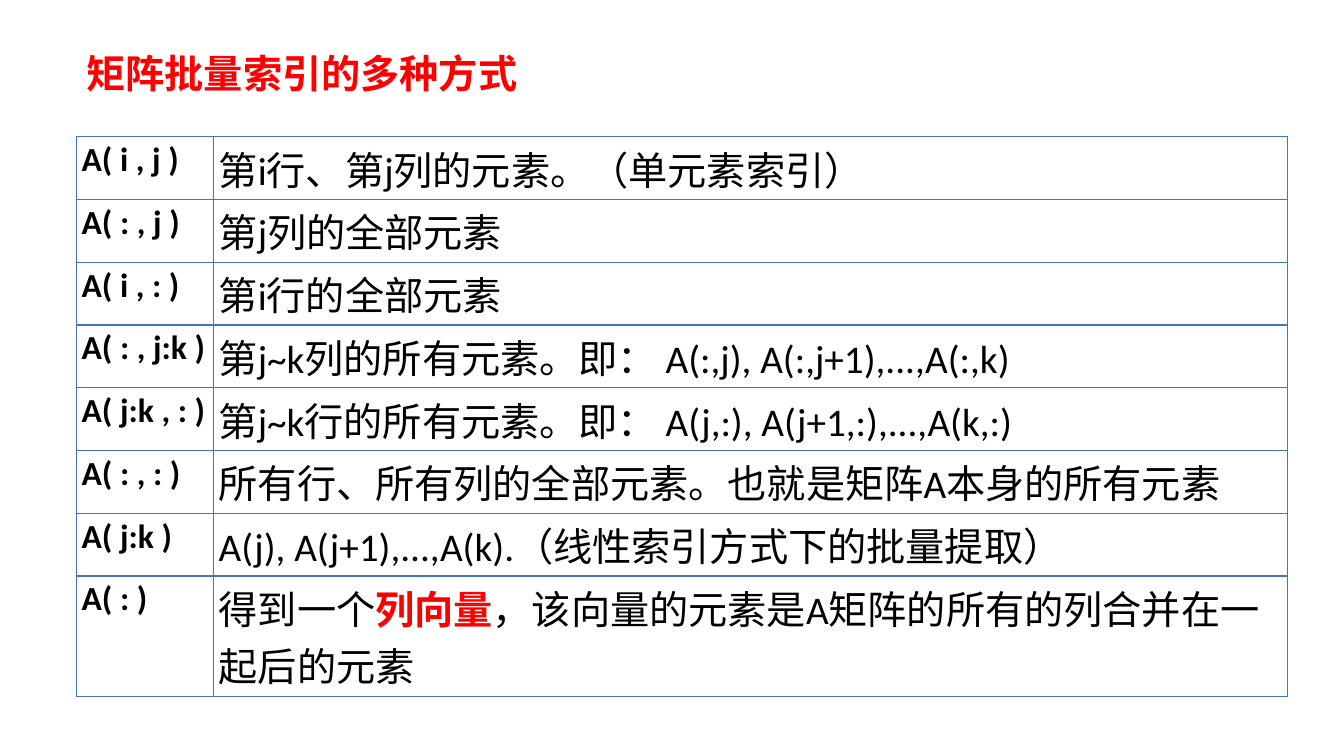
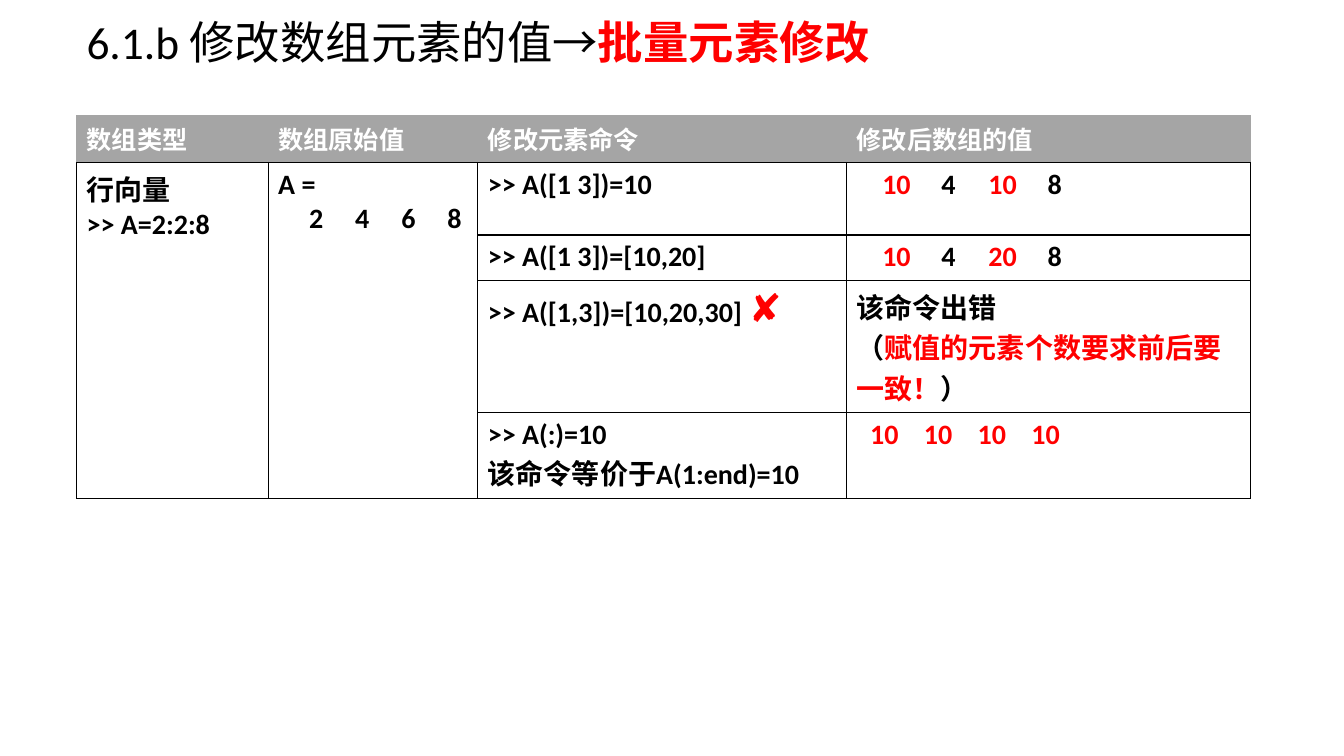
from lxml import etree
from pptx import Presentation
from pptx.dml.color import RGBColor
from pptx.enum.text import MSO_ANCHOR
from pptx.oxml.ns import qn
from pptx.util import Inches, Pt

MIDDLE = MSO_ANCHOR.MIDDLE
FONT = "Calibri"
BLACK, RED, WHITE = "000000", "FF0000", "FFFFFF"
BLUE, GREY = "4472C4", "A5A5A5"

deck = Presentation()
deck.slide_width, deck.slide_height = Inches(13.33), Inches(7.5)
# One grid for both slides: 100 columns by 100 rows.
COLUMN, ROW = deck.slide_width / 100, deck.slide_height / 100
LEFT = int(5.7 * COLUMN)


def write(frame, text, size, bold, color=BLACK, stops=()):
    """Write one paragraph per line; spans between bars are bold red."""
    frame.vertical_anchor = MIDDLE
    for number, line in enumerate(text.split("\n")):
        para = frame.add_paragraph() if number else frame.paragraphs[0]
        if "\t" in line:
            tabs = etree.SubElement(para._p.get_or_add_pPr(), qn("a:tabLst"))
            for stop in stops:
                etree.SubElement(tabs, qn("a:tab"), pos=str(int(stop * COLUMN)), algn="l")
        para.font.name, para.font.size, para.font.bold = FONT, Pt(size), bold
        para.font.color.rgb = RGBColor.from_string(color)
        for index, piece in enumerate(line.split("|")):
            if piece:
                span = para.add_run()
                span.text = piece
                if index % 2:
                    span.font.bold = True
                    span.font.color.rgb = RGBColor.from_string(RED)


def add_grid(page, top, widths, heights, line_color):
    """Add an unfilled table with thin borders, sized in grid units."""
    frame = page.shapes.add_table(
        len(heights), len(widths), LEFT, int(top * ROW),
        int(sum(widths) * COLUMN), int(sum(heights) * ROW))
    table = frame.table
    table.first_row = table.horz_banding = False
    for column, width in zip(table.columns, widths):
        column.width = int(width * COLUMN)
    for row, height in zip(table.rows, heights):
        row.height = int(height * ROW)
    for cell in table.iter_cells():
        cell.fill.background()
        properties = cell._tc.get_or_add_tcPr()
        for index, side in enumerate(("lnL", "lnR", "lnT", "lnB")):
            border = etree.Element(qn("a:" + side), w=str(Pt(1)))
            fill = etree.SubElement(border, qn("a:solidFill"))
            etree.SubElement(fill, qn("a:srgbClr"), val=line_color)
            properties.insert(index, border)
    return table


pages = []
titles = [
    ("|矩阵批量索引的多种方式|", 28, 5.9, 7.6, 1),
    ("6.1.b 修改数组元素的值→|批量元素修改|", 32.4, 2.9, 6, 0.9),
]
for text, size, top, height, spacing in titles:
    page = deck.slides.add_slide(deck.slide_layouts[6])
    box = page.shapes.add_textbox(LEFT, int(top * ROW), int(70 * COLUMN), int(height * ROW))
    box.text_frame.word_wrap = True
    write(box.text_frame, text, size, False)
    box.text_frame.paragraphs[0].line_spacing = spacing
    pages.append(page)

# Ways of indexing
index_rows = [
    ("A( i , j )", "第i行、第j列的元素。（单元素索引）"),
    ("A( : , j )", "第j列的全部元素"),
    ("A( i , : )", "第i行的全部元素"),
    ("A( : , j:k )", "第j~k列的所有元素。即： A(:,j), A(:,j+1),...,A(:,k)"),
    ("A( j:k , : )", "第j~k行的所有元素。即： A(j,:), A(j+1,:),...,A(k,:)"),
    ("A( : , : )", "所有行、所有列的全部元素。也就是矩阵A本身的所有元素"),
    ("A( j:k )", "A(j), A(j+1),...,A(k).（线性索引方式下的批量提取）"),
    ("A( : )", "得到一个|列向量|，该向量的元素是A矩阵的所有的列合并在一起后的元素"),
]
index_table = add_grid(pages[0], 18.1, (10.2, 79.9), [8.3] * 7 + [15.9], BLUE)
for row, texts in enumerate(index_rows):
    for column, (text, size, bold) in enumerate(zip(texts, (24, 28), (True, False))):
        cell = index_table.cell(row, column)
        cell.margin_left = cell.margin_right = Inches(0.05)
        cell.margin_top = cell.margin_bottom = Inches(0.03)
        write(cell.text_frame, text, size, bold)

# Changing several elements at once
change_rows = [
    ("数组类型", "数组原始值", "修改元素命令", "修改后数组的值"),
    ("行向量\n>> A=2:2:8", "A =\n\t2\t4\t6\t8", ">> A([1 3])=10", "\t|10|\t4\t|10|\t8"),
    ("", "", ">> A([1 3])=[10,20]", "\t|10|\t4\t|20|\t8"),
    ("", "", ">> A([1,3])=[10,20,30] |✘|", "该命令出错\n（|赋值的元素个数要求前后要一致！|）"),
    ("", "", ">> A(:)=10\n该命令等价于A(1:end)=10", "\t|10\t10\t10\t10|"),
]
mixed_stops = (1.9, 6.3, 9.8, 14.2)
tab_stops = {
    (1, 1): [2.3 + 3.43 * step for step in range(4)],
    (1, 3): mixed_stops,
    (2, 3): mixed_stops,
    (4, 3): [1 + 4 * step for step in range(4)],
}
change_table = add_grid(
    pages[1], 15.3, (14.25, 15.6, 27.45, 30.05), (6.2, 9.6, 6, 17.5, 11.3), BLACK)
for column in range(2):
    change_table.cell(1, column).merge(change_table.cell(4, column))
for row, texts in enumerate(change_rows):
    for column, text in enumerate(texts):
        cell = change_table.cell(row, column)
        if row == 0:
            cell.fill.solid()
            cell.fill.fore_color.rgb = RGBColor.from_string(GREY)
            for side in ("lnL", "lnR", "lnT"):
                border = cell._tc.tcPr.find(qn("a:" + side))
                border.find(".//" + qn("a:srgbClr")).set("val", GREY)
            write(cell.text_frame, text, 18, True, WHITE)
        elif text:
            write(cell.text_frame, text, 20, True, stops=tab_stops.get((row, column), ()))
cross = change_table.cell(3, 2).text_frame.paragraphs[0].runs[-1]
cross.font.size = Pt(28)

deck.save("out.pptx")
